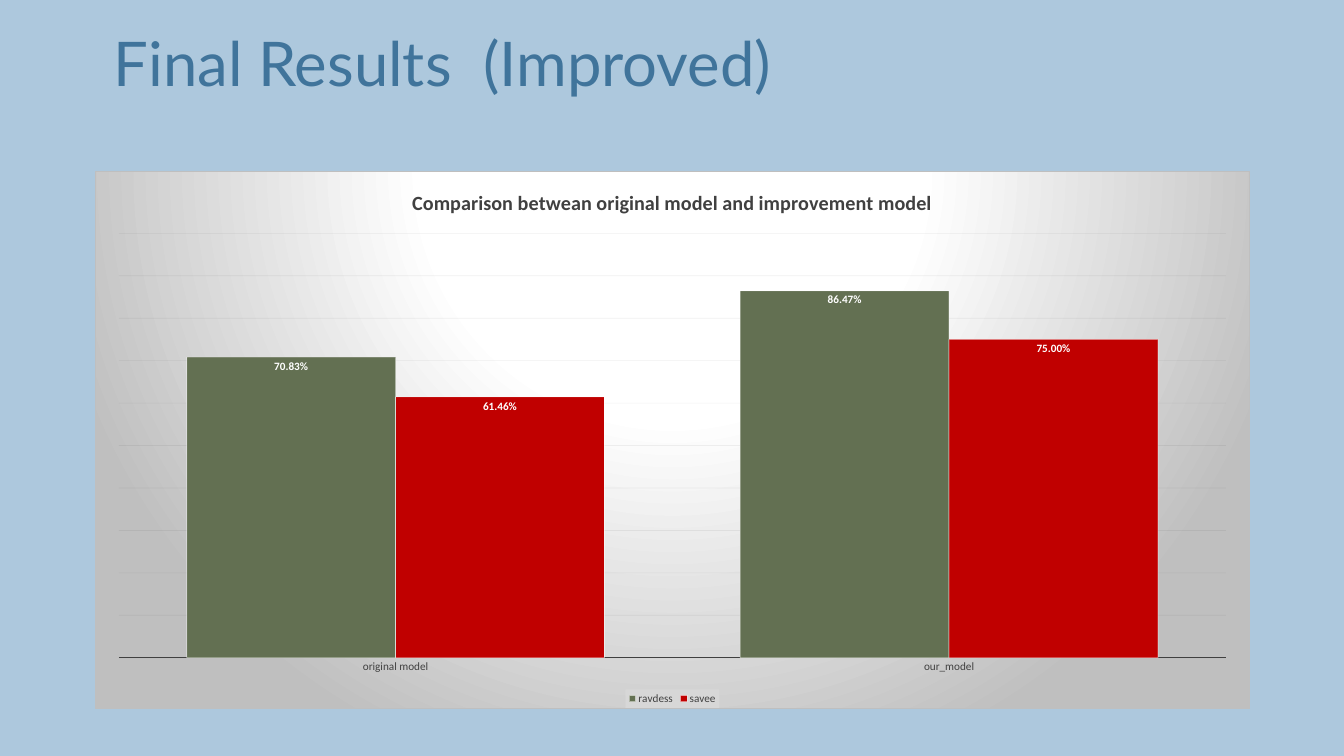
from lxml.etree import SubElement
from pptx import Presentation
from pptx.chart.data import CategoryChartData
from pptx.dml.color import RGBColor
from pptx.enum.chart import XL_CHART_TYPE, XL_LABEL_POSITION, XL_LEGEND_POSITION, XL_TICK_LABEL_POSITION, XL_TICK_MARK
from pptx.enum.text import MSO_ANCHOR, PP_ALIGN
from pptx.oxml import parse_xml
from pptx.oxml.ns import nsdecls, qn
from pptx.util import Inches, Pt

COLORS = {
    "background": "ADC8DD",
    "heading": "40749B",
    "ravdess": "637052",
    "savee": "C00000",
    "text": "404040",
    "grid": "0D0D0D",
    "white": "FFFFFF",
    "gray": "BFBFBF",
    "legend": "D9D9D9",
}
MODELS = ["original model", "our_model"]
ACCURACY = {"ravdess": [0.7083, 0.8647], "savee": [0.6146, 0.75]}


def color(name):
    return RGBColor.from_string(COLORS[name])


def style_font(font, size, shade, name="Calibri", bold=False):
    font.size = Pt(size)
    font.name = name
    font.bold = bold
    font.color.rgb = color(shade)


def add_text(page, text, left, top, width, height, **style):
    box = page.shapes.add_textbox(Inches(left), Inches(top), Inches(width), Inches(height))
    frame = box.text_frame
    frame.word_wrap = True
    frame.vertical_anchor = MSO_ANCHOR.MIDDLE
    para = frame.paragraphs[0]
    para.alignment = PP_ALIGN.CENTER
    span = para.add_run()
    span.text = text
    style_font(span.font, **style)


def style_line(line, shade, width, opacity=100):
    line.width = Pt(width)
    line.color.rgb = color(shade)
    if opacity < 100:
        for tint in line.fill._xPr.iter(qn("a:srgbClr")):
            SubElement(tint, qn("a:alpha"), val=str(opacity * 1000))


def fill_chart_area(chart):
    stops = "".join(
        f'<a:gs pos="{position * 1000}"><a:srgbClr val="{COLORS[shade]}"/></a:gs>'
        for position, shade in [(0, "white"), (39, "white"), (100, "gray")]
    )
    area = parse_xml(
        f'<c:spPr {nsdecls("c", "a")}><a:gradFill><a:gsLst>{stops}</a:gsLst>'
        '<a:path path="circle"><a:fillToRect l="50000" t="-80000" r="50000" b="180000"/></a:path>'
        f'</a:gradFill><a:ln w="{Pt(0.75)}"><a:solidFill><a:srgbClr val="{COLORS["gray"]}"/>'
        "</a:solidFill></a:ln></c:spPr>"
    )
    chart._chartSpace.find(qn("c:chart")).addnext(area)


def style_axes(chart):
    categories = chart.category_axis
    categories.major_tick_mark = XL_TICK_MARK.NONE
    categories.minor_tick_mark = XL_TICK_MARK.NONE
    style_font(categories.tick_labels.font, 12, "text")
    style_line(categories.format.line, "text", 1.5)
    values = chart.value_axis
    values.minimum_scale = 0
    values.maximum_scale = 1
    values.major_unit = 0.1
    values.has_major_gridlines = True
    style_line(values.major_gridlines.format.line, "grid", 0.75, opacity=5)
    values.tick_labels.number_format = "0.00%"
    values.tick_labels.number_format_is_linked = False
    values.tick_label_position = XL_TICK_LABEL_POSITION.NONE
    values.visible = False


def style_series(series):
    series.format.fill.solid()
    series.format.fill.fore_color.rgb = color(series.name)
    style_line(series.format.line, "white", 0.75, opacity=50)
    labels = series.data_labels
    labels.show_value = True
    labels.number_format = "0.00%"
    labels.number_format_is_linked = False
    labels.position = XL_LABEL_POSITION.INSIDE_END
    style_font(labels.font, 12, "white", bold=True)


def add_legend(chart):
    chart.has_legend = True
    legend = chart.legend
    legend.position = XL_LEGEND_POSITION.BOTTOM
    legend.include_in_layout = False
    style_font(legend.font, 12, "text")
    background = parse_xml(
        f'<c:spPr {nsdecls("c", "a")}><a:solidFill><a:srgbClr val="{COLORS["legend"]}">'
        '<a:alpha val="80000"/></a:srgbClr></a:solidFill></c:spPr>'
    )
    legend._element.find(qn("c:txPr")).addprevious(background)


def add_accuracy_chart(page, title, left, top, width, height):
    data = CategoryChartData(number_format="0.00%")
    data.categories = MODELS
    for name, values in ACCURACY.items():
        data.add_series(name, values)
    chart = page.shapes.add_chart(
        XL_CHART_TYPE.COLUMN_CLUSTERED, Inches(left), Inches(top), Inches(width), Inches(height), data
    ).chart
    style_font(chart.font, 10, "text")
    chart.has_title = True
    span = chart.chart_title.text_frame.paragraphs[0].add_run()
    span.text = title
    style_font(span.font, 21.6, "text", bold=True)
    chart.chart_title.include_in_layout = False
    plot = chart.plots[0]
    plot.gap_width = 65
    plot.overlap = 0
    plot.vary_by_categories = False
    for series in plot.series:
        style_series(series)
    style_axes(chart)
    add_legend(chart)
    fill_chart_area(chart)


def main():
    deck = Presentation()
    deck.slide_width = Inches(20)
    deck.slide_height = Inches(11.25)
    page = deck.slides.add_slide(deck.slide_layouts[6])
    page.background.fill.solid()
    page.background.fill.fore_color.rgb = color("background")
    add_accuracy_chart(
        page, "Comparison betwean original model and improvement model", 1.42, 2.54, 17.17, 8
    )
    add_text(page, "Final Results  (Improved)", 0.5, 0.3, 12.17, 1.25, size=66, shade="heading", name="Lato")
    deck.save("out.pptx")


if __name__ == "__main__":
    main()
